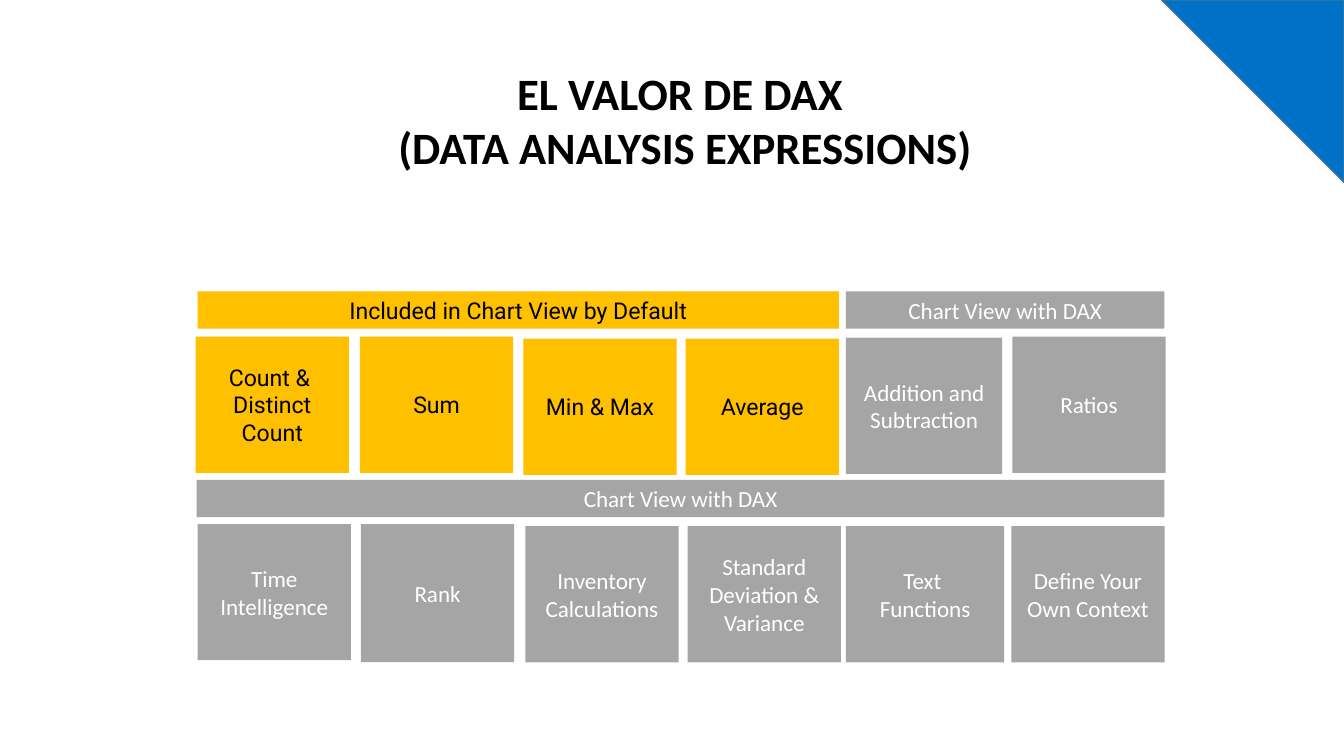
from dataclasses import dataclass

from pptx import Presentation
from pptx.dml.color import RGBColor
from pptx.enum.shapes import MSO_SHAPE as Shape
from pptx.enum.text import MSO_ANCHOR as Anchor, MSO_AUTO_SIZE as AutoSize, PP_ALIGN as Align
from pptx.util import Inches, Pt

BLUE, NAVY, BLACK, WHITE = "0072C5", "43739E", "000000", "FFFFFF"


@dataclass(frozen=True)
class Style:
    fill: str
    color: str
    font: str
    side_inset: float


@dataclass(frozen=True)
class Box:
    text: str
    style: Style
    left: float
    top: float
    width: float = 1.52
    height: float = 1.35
    shape: Shape = Shape.ROUNDED_RECTANGLE


BUILT_IN = Style("FFC000", BLACK, "Roboto", 0.07)
WITH_DAX = Style("A5A5A5", WHITE, "Calibri", 0.04)


def bar(text: str, style: Style, left: float, top: float, width: float) -> Box:
    return Box(text, style, left, top, width, 0.37, Shape.RECTANGLE)


BOXES = [
    # Upper row: built-in functions, then those that need DAX
    Box("Count & \nDistinct Count", BUILT_IN, 1.94, 3.34),
    Box("Sum", BUILT_IN, 3.57, 3.34),
    Box("Min & Max", BUILT_IN, 5.19, 3.36),
    Box("Average", BUILT_IN, 6.8, 3.36),
    Box("Addition and Subtraction", WITH_DAX, 8.39, 3.35, 1.55),
    Box("Ratios", WITH_DAX, 10.04, 3.34),
    # Lower row: DAX only
    Box("Time Intelligence", WITH_DAX, 1.96, 5.2),
    Box("Rank", WITH_DAX, 3.58, 5.2, height=1.37),
    Box("Inventory Calculations", WITH_DAX, 5.21, 5.22),
    Box("Standard Deviation & Variance", WITH_DAX, 6.82, 5.22),
    Box("Text \nFunctions", WITH_DAX, 8.39, 5.22, 1.57),
    Box("Define Your Own Context", WITH_DAX, 10.03, 5.22),
    # Heading bars
    bar("Included in Chart View by Default", BUILT_IN, 1.96, 2.89, 6.36),
    bar("Chart View with DAX", WITH_DAX, 8.39, 2.89, 3.16),
    bar("Chart View with DAX", WITH_DAX, 1.95, 4.76, 9.6),
]


def rgb(value: str) -> RGBColor:
    return RGBColor.from_string(value)


def set_text(tf, text: str, *, font: str, size: float, color: str,
             bold: bool = False, anchor: Anchor = Anchor.MIDDLE) -> None:
    tf.word_wrap = True
    tf.auto_size = AutoSize.NONE
    tf.vertical_anchor = anchor
    tf.text = text
    for p in tf.paragraphs:
        p.alignment = Align.CENTER
        for r in p.runs:
            r.font.name, r.font.size, r.font.bold = font, Pt(size), bold
            r.font.color.rgb = rgb(color)


def add_box(s, box: Box) -> None:
    sp = s.shapes.add_shape(box.shape, Inches(box.left), Inches(box.top),
                            Inches(box.width), Inches(box.height))
    if box.shape == Shape.ROUNDED_RECTANGLE:
        sp.adjustments[0] = 0
    sp.shadow.inherit = False
    sp.fill.solid()
    sp.fill.fore_color.rgb = rgb(box.style.fill)
    sp.line.fill.background()
    tf = sp.text_frame
    tf.margin_left = tf.margin_right = Inches(box.style.side_inset)
    tf.margin_top = tf.margin_bottom = Inches(0.04)
    set_text(tf, box.text, font=box.style.font, size=16.5, color=box.style.color)


def add_corner(s) -> None:
    sp = s.shapes.add_shape(Shape.RIGHT_TRIANGLE, Inches(11.52), 0, Inches(1.81), Inches(1.81))
    sp.rotation = 180
    sp.shadow.inherit = False
    sp.fill.solid()
    sp.fill.fore_color.rgb = rgb(BLUE)
    sp.line.color.rgb = rgb(NAVY)
    sp.line.width = Pt(1)


def add_title(s, text: str) -> None:
    sp = s.shapes.title
    sp.left, sp.top, sp.width, sp.height = (Inches(v) for v in (2.28, 0.6, 9.03, 1.18))
    set_text(sp.text_frame, text, font="Calibri", size=32, color=BLACK,
             bold=True, anchor=Anchor.TOP)


def main() -> None:
    prs = Presentation()
    prs.slide_width, prs.slide_height = Inches(13.33), Inches(7.5)
    s = prs.slides.add_slide(prs.slide_layouts[5])
    add_corner(s)
    for box in BOXES:
        add_box(s, box)
    add_title(s, "EL VALOR DE DAX \n(DATA ANALYSIS EXPRESSIONS)")
    prs.save("out.pptx")


if __name__ == "__main__":
    main()
